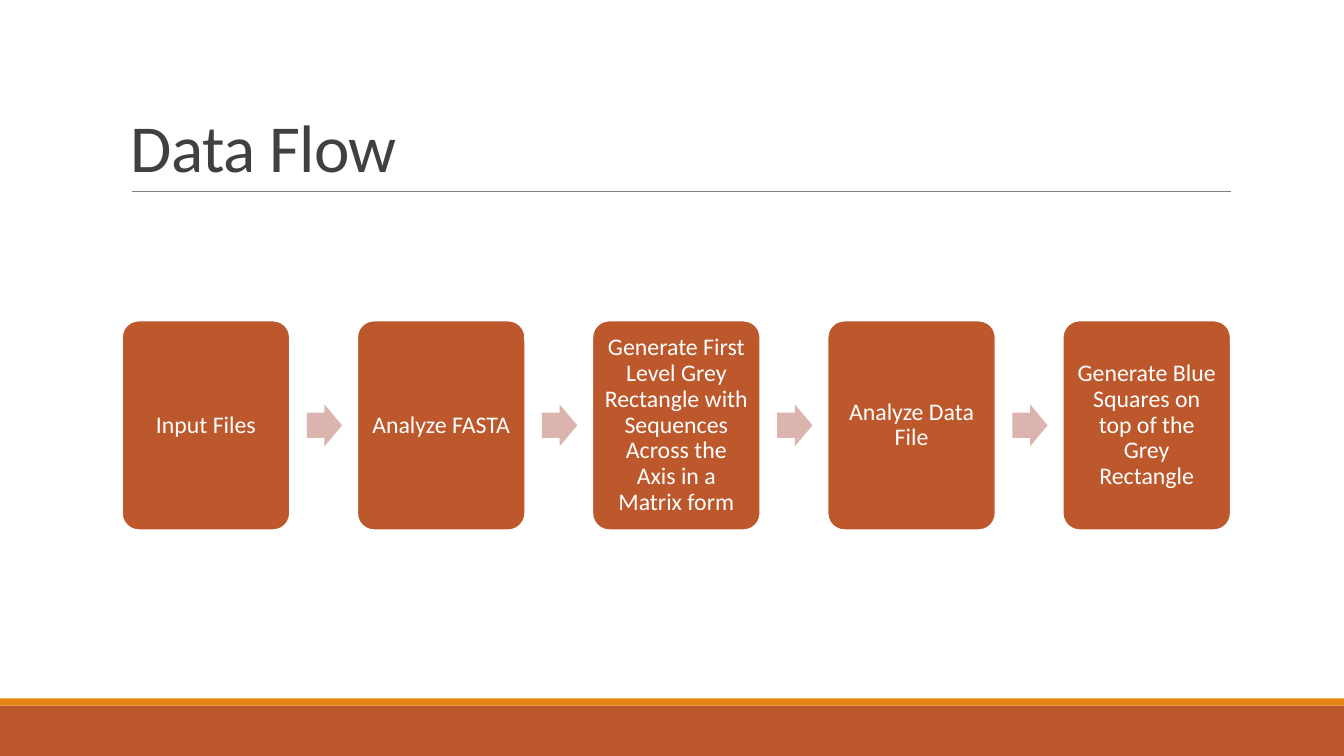
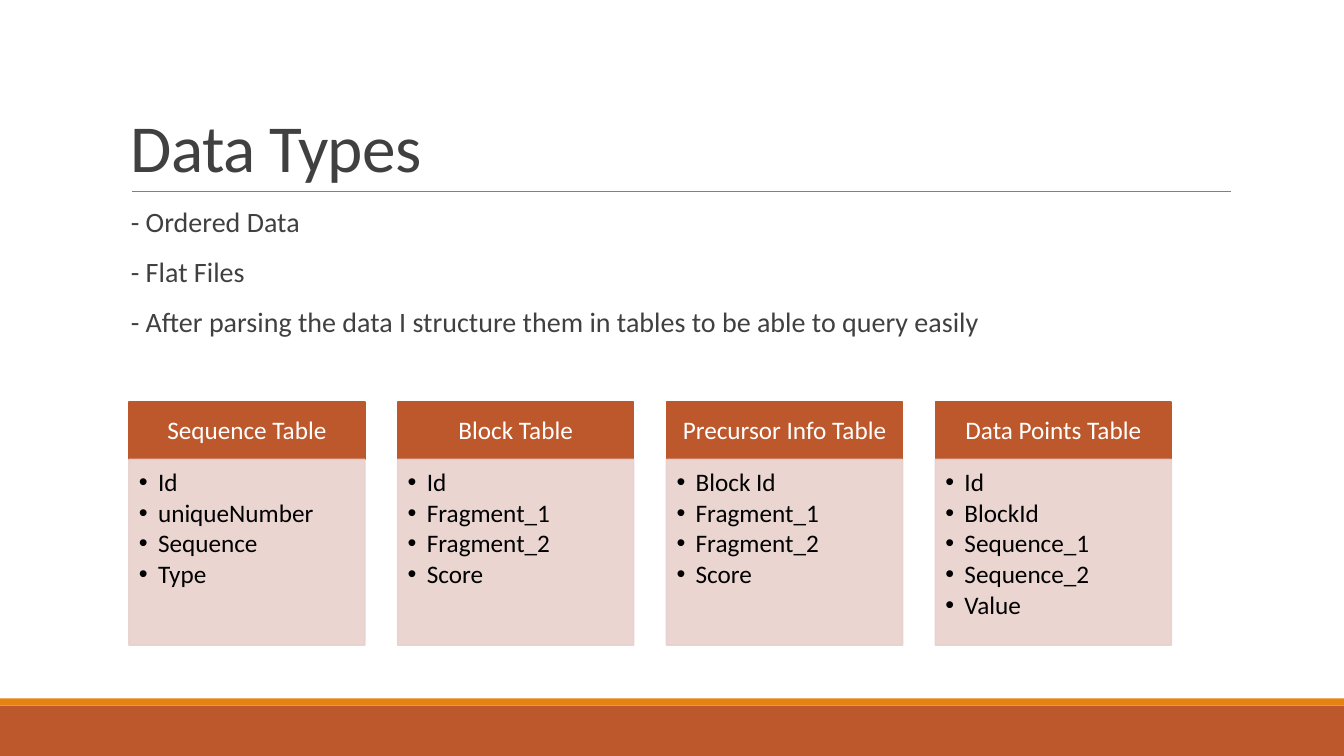
from lxml import etree
from pptx import Presentation
from pptx import util as u
from pptx.dml.color import RGBColor
from pptx.enum import shapes, text
from pptx.oxml import ns

RUST = RGBColor(0xBD, 0x58, 0x2C)
ORANGE = RGBColor(0xE4, 0x83, 0x12)
ROSE = RGBColor(0xDB, 0xB5, 0xAD)
PALE_ROSE = RGBColor(0xE8, 0xD1, 0xCD)
GREY = RGBColor(0x80, 0x80, 0x80)
CHARCOAL = RGBColor(0x40, 0x40, 0x40)
WHITE = RGBColor(0xFF, 0xFF, 0xFF)
BLACK = RGBColor(0, 0, 0)

FONT = "Calibri"
SLIDE_W, SLIDE_H = u.Inches(13.333), u.Inches(7.5)
TEXT_LEFT, TEXT_W = u.Inches(1.2), u.Inches(11)
RULE_Y = u.Inches(1.9)
BAND_H, STRIPE_H = SLIDE_H // 15, u.Inches(0.07)

STEPS = [
    "Input Files",
    "Analyze FASTA",
    "Generate First Level Grey Rectangle with Sequences Across the Axis in a Matrix form",
    "Analyze Data File",
    "Generate Blue Squares on top of the Grey Rectangle",
]
NOTES = [
    "- Ordered Data",
    "- Flat Files",
    "- After parsing the data I structure them in tables to be able to query easily",
]
TABLES = {
    "Sequence Table": ["Id", "uniqueNumber", "Sequence", "Type"],
    "Block Table": ["Id", "Fragment_1", "Fragment_2", "Score"],
    "Precursor Info Table": ["Block Id", "Fragment_1", "Fragment_2", "Score"],
    "Data Points Table": ["Id", "BlockId", "Sequence_1", "Sequence_2", "Value"],
}


def add_bullet(para, indent):
    props = para._p.get_or_add_pPr()
    props.set("marL", str(indent))
    props.set("indent", str(-indent))
    etree.SubElement(props, ns.qn("a:buFont")).set("typeface", "Arial")
    etree.SubElement(props, ns.qn("a:buChar")).set("char", "•")


def write(box, lines, size, color, align=text.PP_ALIGN.LEFT,
          anchor=text.MSO_ANCHOR.TOP, insets=(0.1, 0.05, 0.1, 0.05),
          leading=0.9, before=0, after=0, bullet=None, tracking=None):
    """Fill a shape with one paragraph per line; insets run left, top, right, bottom."""
    frame = box.text_frame
    frame.word_wrap = True
    frame.vertical_anchor = anchor
    (frame.margin_left, frame.margin_top,
     frame.margin_right, frame.margin_bottom) = map(u.Inches, insets)
    for i, line in enumerate(lines):
        para = frame.add_paragraph() if i else frame.paragraphs[0]
        if bullet:
            add_bullet(para, bullet)
        para.alignment = align
        para.line_spacing = leading
        para.space_before = u.Pt(before if i else 0)
        para.space_after = u.Pt(after)
        span = para.add_run()
        span.text = line
        span.font.name = FONT
        span.font.size = u.Pt(size)
        span.font.color.rgb = color
        if tracking:
            span._r.get_or_add_rPr().set("spc", str(round(tracking * 100)))


def add_block(page, kind, left, top, width, height, fill, line=None, opacity=None):
    block = page.shapes.add_shape(kind, *map(round, (left, top, width, height)))
    block.shadow.inherit = False
    block.fill.solid()
    block.fill.fore_color.rgb = fill
    if line is None:
        block.line.fill.background()
    else:
        block.line.color.rgb = line
        block.line.width = u.Pt(1.25)
    if opacity:
        for color in block._element.spPr.iter(ns.qn("a:srgbClr")):
            etree.SubElement(color, ns.qn("a:alpha")).set("val", str(opacity * 1000))
    return block


def add_page(deck, title):
    """Add a slide with the bottom bands, the title and the rule below it."""
    page = deck.slides.add_slide(deck.slide_layouts[6])
    band_top = SLIDE_H - BAND_H
    rect = shapes.MSO_SHAPE.RECTANGLE
    add_block(page, rect, 0, band_top, SLIDE_W, BAND_H, RUST)
    add_block(page, rect, 0, band_top - STRIPE_H, SLIDE_W, STRIPE_H, ORANGE)

    rule = page.shapes.add_connector(shapes.MSO_CONNECTOR.STRAIGHT,
                                     u.Inches(1.31), RULE_Y, u.Inches(12.21), RULE_Y)
    rule.line.color.rgb = GREY
    rule.line.width = u.Pt(0.5)
    etree.SubElement(rule._element.spPr, ns.qn("a:effectLst"))

    top = u.Inches(0.31)
    box = page.shapes.add_textbox(TEXT_LEFT, top, TEXT_W, RULE_Y - top)
    write(box, [title], 48, CHARCOAL, anchor=text.MSO_ANCHOR.BOTTOM,
          leading=0.85, tracking=-0.5)
    return page


def add_flow(page, steps):
    """Lay out the steps in a row with a block arrow in each gap."""
    left, middle = u.Inches(1.21), u.Inches(4.22)
    width, height = SLIDE_W / 8, u.Inches(2.08)
    arrow_w, arrow_h = 0.21 * width, 0.25 * width
    for i, step in enumerate(steps):
        x = left + i * 1.4 * width
        if i:
            arrow = add_block(page, shapes.MSO_SHAPE.RIGHT_ARROW, x - 0.3 * width,
                              middle - arrow_h / 2, arrow_w, arrow_h, ROSE)
            arrow.adjustments[0] = 0.6
        card = add_block(page, shapes.MSO_SHAPE.ROUNDED_RECTANGLE, x,
                         middle - height / 2, width, height, RUST, WHITE)
        card.adjustments[0] = 0.1
        write(card, [step], 17, WHITE, align=text.PP_ALIGN.CENTER,
              anchor=text.MSO_ANCHOR.MIDDLE, insets=(0.07,) * 4)


def add_field_lists(page, tables):
    """Lay out one heading and its bulleted fields per column."""
    left, top, pitch = u.Inches(1.28), u.Inches(3.99), SLIDE_W / 5
    width, head_h, body_h = u.Inches(2.34), u.Inches(0.57), u.Inches(1.84)
    rect = shapes.MSO_SHAPE.RECTANGLE
    for i, (name, fields) in enumerate(tables.items()):
        x = left + i * pitch
        head = add_block(page, rect, x, top, width, head_h, RUST, RUST)
        write(head, [name], 18, WHITE, align=text.PP_ALIGN.CENTER,
              anchor=text.MSO_ANCHOR.MIDDLE, insets=(0.14, 0.08, 0.14, 0.08))
        body = add_block(page, rect, x, top + head_h, width, body_h,
                         PALE_ROSE, PALE_ROSE, opacity=90)
        write(body, fields, 18, BLACK, insets=(0.1, 0.1, 0.14, 0.16),
              after=2.5, bullet=u.Inches(0.19))


def main():
    deck = Presentation()
    deck.slide_width, deck.slide_height = SLIDE_W, SLIDE_H

    add_flow(add_page(deck, "Data Flow"), STEPS)

    page = add_page(deck, "Data Types")
    notes = page.shapes.add_textbox(TEXT_LEFT, u.Inches(2.02), TEXT_W, u.Inches(1.6))
    write(notes, NOTES, 20, CHARCOAL, before=12, after=2)
    add_field_lists(page, TABLES)

    deck.save("out.pptx")


if __name__ == "__main__":
    main()
